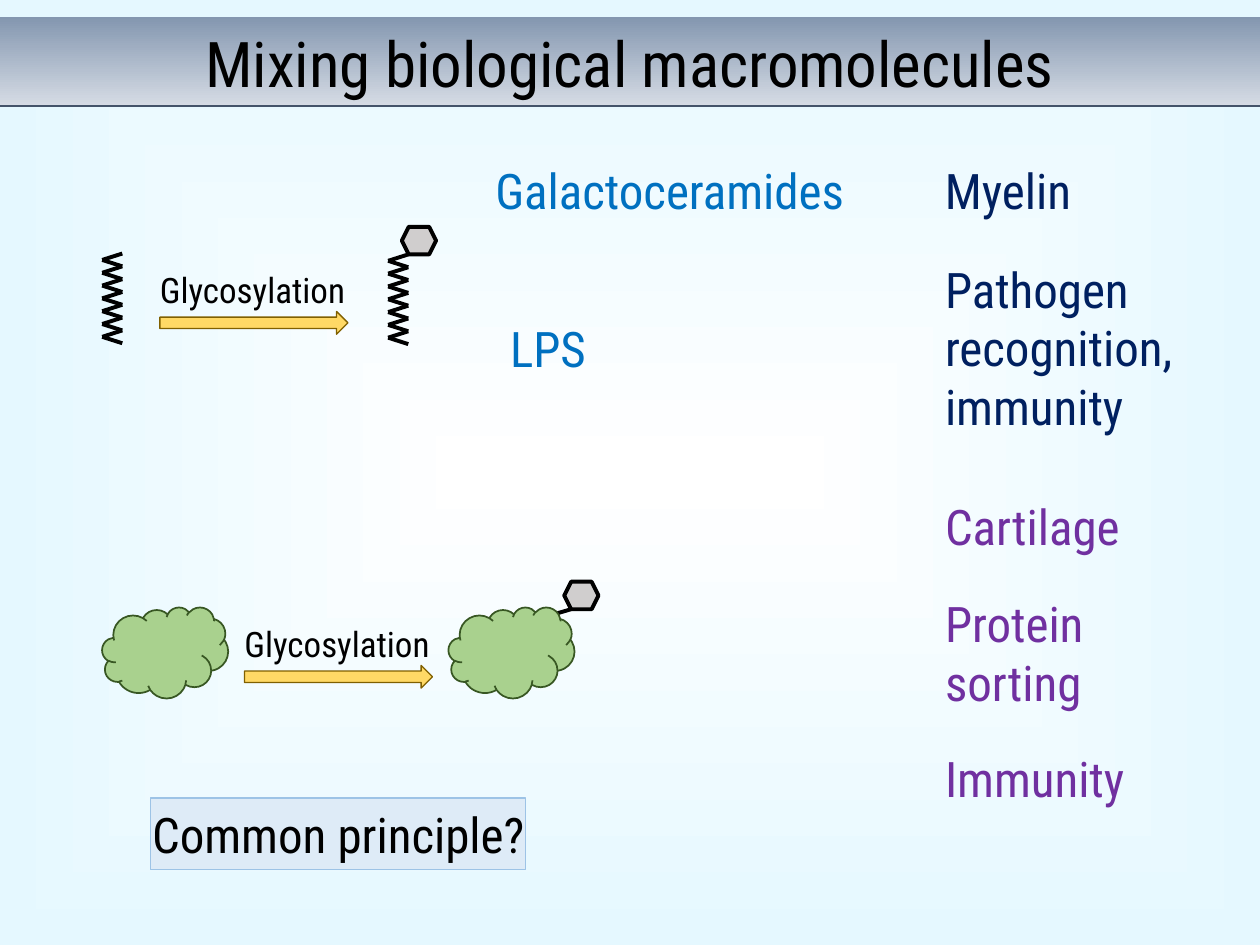
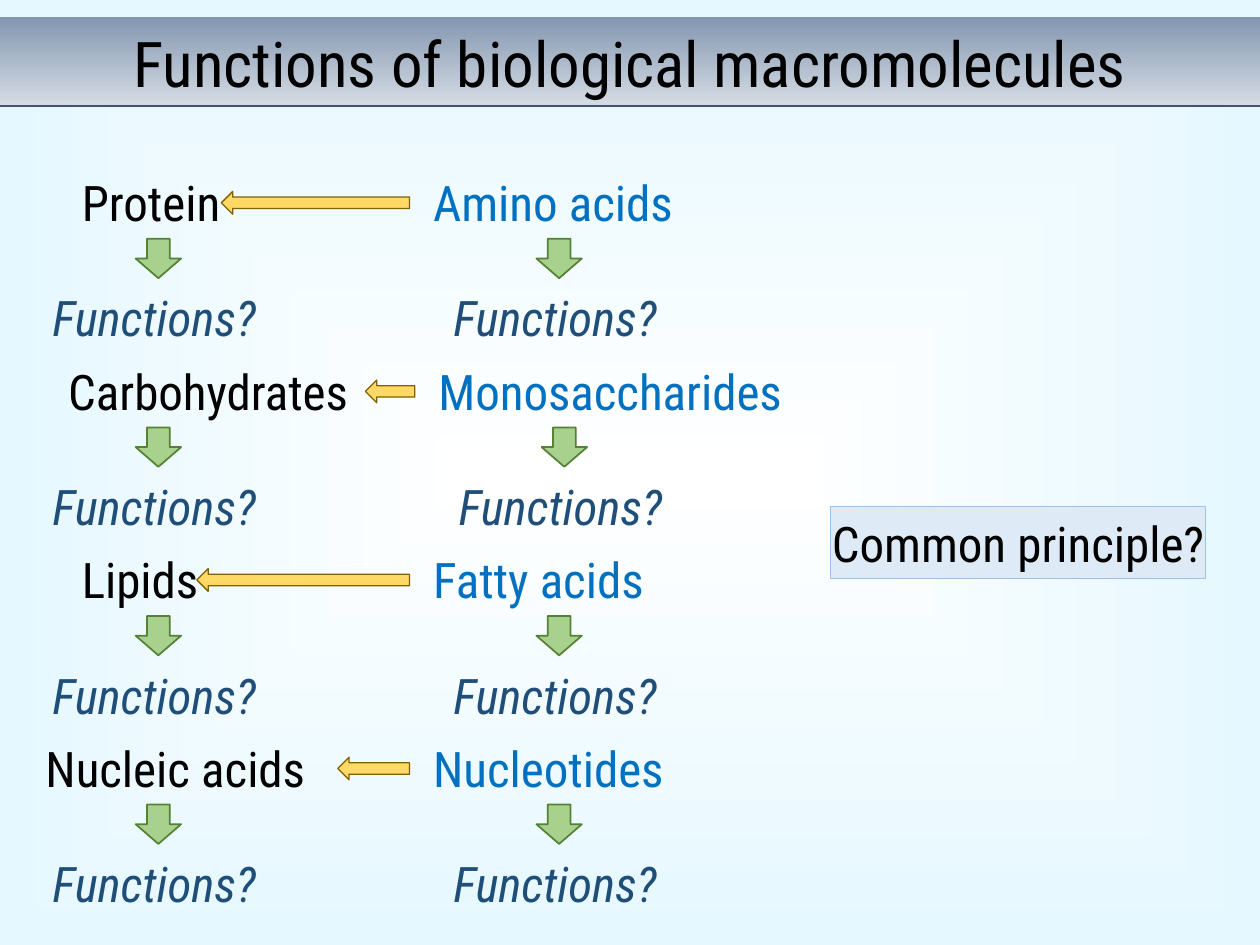
"""Build two slides on mixing and functions of biological macromolecules."""
from lxml import etree
from pptx import Presentation
from pptx.dml.color import RGBColor
from pptx.enum.shapes import MSO_CONNECTOR, MSO_SHAPE
from pptx.enum.text import MSO_ANCHOR, PP_ALIGN
from pptx.oxml.ns import qn
from pptx.util import Pt

RECTANGLE, CLOUD, HEXAGON = MSO_SHAPE.RECTANGLE, MSO_SHAPE.CLOUD, MSO_SHAPE.HEXAGON
LEFT_ARROW, RIGHT_ARROW, DOWN_ARROW = MSO_SHAPE.LEFT_ARROW, MSO_SHAPE.RIGHT_ARROW, MSO_SHAPE.DOWN_ARROW
STRAIGHT = MSO_CONNECTOR.STRAIGHT
LEFT, CENTER = PP_ALIGN.LEFT, PP_ALIGN.CENTER
TOP, MIDDLE = MSO_ANCHOR.TOP, MSO_ANCHOR.MIDDLE

FONT = "Roboto Condensed"
BLACK = RGBColor(0x00, 0x00, 0x00)
WHITE = RGBColor(0xFF, 0xFF, 0xFF)
PALE_BLUE = RGBColor(0xE5, 0xF8, 0xFF)
BAND_LIGHT = RGBColor(0xD6, 0xDC, 0xE5)
BAND_DARK = RGBColor(0x84, 0x97, 0xB0)
BAND_LINE = RGBColor(0x44, 0x54, 0x6A)
BLUE = RGBColor(0x00, 0x70, 0xC0)
NAVY = RGBColor(0x00, 0x20, 0x60)
PURPLE = RGBColor(0x70, 0x30, 0xA0)
FUNCTION_BLUE = RGBColor(0x1F, 0x4E, 0x79)
GREY = RGBColor(0xD0, 0xCE, 0xCE)
GOLD = RGBColor(0xFF, 0xD9, 0x66)
GOLD_LINE = RGBColor(0x80, 0x60, 0x00)
GREEN = RGBColor(0xA9, 0xD1, 0x8E)
CLOUD_LINE = RGBColor(0x38, 0x57, 0x23)
GREEN_LINE = RGBColor(0x54, 0x82, 0x35)
BOX_FILL = RGBColor(0xDE, 0xEB, 0xF7)
BOX_LINE = RGBColor(0x9D, 0xC3, 0xE6)

SLIDE_WIDTH, SLIDE_HEIGHT = 720, 540
LINE_HEIGHT = 41
MIXING_TITLE = "Mixing biological macromolecules"
FUNCTIONS_TITLE = "Functions of biological macromolecules"
PRINCIPLE = "Common principle?"
PROCESS = "Glycosylation"
FUNCTION = "Functions?"

# text, left, top, width, height, colour
MIXING_LABELS = [
    ("Galactoceramides", 283, 88, 204, LINE_HEIGHT, BLUE),
    ("LPS", 291.5, 178.5, 55, LINE_HEIGHT, BLUE),
    ("Myelin", 540, 88, 77, LINE_HEIGHT, NAVY),
    ("Pathogen recognition, immunity", 540, 144.5, 131, 109, NAVY),
    ("Cartilage", 540, 280, 121, LINE_HEIGHT, PURPLE),
    ("Protein sorting", 540, 335.5, 121, 75, PURPLE),
    ("Immunity", 540, 424, 121, LINE_HEIGHT, PURPLE),
]
# polymer, its left, arrow tip, monomer, its left, monomer width
BUILDING_BLOCKS = [
    ("Protein", 46.8, 126.5, "Amino acids", 247.5, 142),
    ("Carbohydrates", 39, 208.8, "Monosaccharides", 250.5, 207),
    ("Lipids", 46.8, 112.5, "Fatty acids", 247.5, 132),
    ("Nucleic acids", 26, 193, "Nucleotides", 247.5, 138),
]
FIRST_ROW, ROW_PITCH = 95.2, 107.75
SPRING_TURNS, SPRING_WIDTH, SPRING_STEP = 14, 11.5, 3.66


def fill_gradient(fill, start, end):
    fill.gradient()
    for stop, colour, position in zip(fill.gradient_stops, (start, end), (0, 1)):
        stop.color.rgb = colour
        stop.position = position


def write(shape, text, size=28, color=BLACK, italic=False, align=LEFT, anchor=TOP):
    frame = shape.text_frame
    frame.word_wrap = True
    frame.vertical_anchor = anchor
    frame.margin_left = frame.margin_right = 0
    frame.margin_top = frame.margin_bottom = Pt(3.6)
    paragraph = frame.paragraphs[0]
    paragraph.alignment = align
    run = paragraph.add_run()
    run.text = text
    font = run.font
    font.name, font.size, font.italic = FONT, Pt(size), italic
    font.color.rgb = color


def add_label(slide, text, left, top, width, height=LINE_HEIGHT, **style):
    write(slide.shapes.add_textbox(Pt(left), Pt(top), Pt(width), Pt(height)), text, **style)


def add_figure(slide, kind, left, top, width, height, fill, line, weight):
    shape = slide.shapes.add_shape(kind, Pt(left), Pt(top), Pt(width), Pt(height))
    shape.shadow.inherit = False
    shape.fill.solid()
    shape.fill.fore_color.rgb = fill
    shape.line.color.rgb = line
    shape.line.width = Pt(weight)
    return shape


def add_line(slide, start, end, color=BLACK, weight=2.25):
    connector = slide.shapes.add_connector(STRAIGHT, *map(Pt, (*start, *end)))
    connector.line.color.rgb = color
    connector.line.width = Pt(weight)
    etree.SubElement(connector.element.spPr, qn("a:effectLst"))


def add_titled_slide(presentation, title):
    slide = presentation.slides.add_slide(presentation.slide_layouts[6])
    fill_gradient(slide.background.fill, WHITE, PALE_BLUE)
    gradient = slide.element.find(".//" + qn("a:gradFill"))
    gradient.remove(gradient.find(qn("a:lin")))
    path = etree.SubElement(gradient, qn("a:path"), {"path": "shape"})
    etree.SubElement(path, qn("a:fillToRect"), dict.fromkeys("ltrb", "50000"))
    band = add_figure(slide, RECTANGLE, 0, 9.8, SLIDE_WIDTH, 51, BAND_LIGHT, BAND_LINE, 1)
    band.line.fill.background()
    fill_gradient(band.fill, BAND_LIGHT, BAND_DARK)
    band.fill.gradient_angle = 90
    write(band, title, size=36, align=CENTER, anchor=MIDDLE)
    add_line(slide, (0, 60.6), (SLIDE_WIDTH, 60.6), BAND_LINE, 1)
    return slide


def add_principle(slide, left, top):
    box = add_figure(slide, RECTANGLE, left, top, 214.5, LINE_HEIGHT, BOX_FILL, BOX_LINE, 0.75)
    write(box, PRINCIPLE, align=CENTER, anchor=MIDDLE)


def add_process(slide, left, top):
    add_figure(slide, RIGHT_ARROW, left, top + 28, 107.5, 13, GOLD, GOLD_LINE, 0.75)
    add_label(slide, PROCESS, left, top, 108.5, 31.5, size=20)


def add_sugar(slide, left, top):
    add_figure(slide, HEXAGON, left, top, 19.6, 15.8, GREY, BLACK, 2.25)


def add_spring(slide, left, top):
    for turn in range(SPRING_TURNS):
        upper = top + turn * SPRING_STEP
        ends = [(left, upper + SPRING_STEP), (left + SPRING_WIDTH, upper)]
        if turn % 2:
            ends = [(left + SPRING_WIDTH, upper + SPRING_STEP), (left, upper)]
        add_line(slide, *ends)


def add_protein(slide, left, top):
    add_figure(slide, CLOUD, left, top, 72, 52, GREEN, CLOUD_LINE, 1)


def add_function(slide, left, top):
    add_figure(slide, DOWN_ARROW, left + 47.5, top, 26, 22.5, GREEN, GREEN_LINE, 1)
    add_label(slide, FUNCTION, left, top + 24.5, 121, color=FUNCTION_BLUE, italic=True)


def build_mixing(presentation):
    slide = add_titled_slide(presentation, MIXING_TITLE)
    add_spring(slide, 58.4, 144.9)
    add_process(slide, 91.4, 150)
    add_sugar(slide, 229.6, 129.6)
    add_spring(slide, 221.8, 145.4)
    add_protein(slide, 58.4, 347)
    add_process(slide, 139.7, 352.2)
    add_sugar(slide, 322.4, 332.4)
    add_line(slide, (314.6, 351.6), (326.2, 348.2))
    add_protein(slide, 256.3, 347)
    for text, left, top, width, height, color in MIXING_LABELS:
        add_label(slide, text, left, top, width, height, color=color)
    add_principle(slide, 86, 456)


def build_functions(presentation):
    slide = add_titled_slide(presentation, FUNCTIONS_TITLE)
    for row, (polymer, left, tip, monomer, monomer_left, width) in enumerate(BUILDING_BLOCKS):
        top = FIRST_ROW + row * ROW_PITCH
        add_label(slide, polymer, left, top, 166)
        add_label(slide, monomer, monomer_left, top, width, color=BLUE)
        add_figure(slide, LEFT_ARROW, tip, top + 14.2, monomer_left - 13.5 - tip, 13,
                   GOLD, GOLD_LINE, 0.75)
        for function_left in (30, monomer_left + 11.5):
            add_function(slide, function_left, top + 41.3)
    add_principle(slide, 474.5, 289.5)


def main():
    presentation = Presentation()
    presentation.slide_width, presentation.slide_height = Pt(SLIDE_WIDTH), Pt(SLIDE_HEIGHT)
    build_mixing(presentation)
    build_functions(presentation)
    presentation.save("out.pptx")


if __name__ == "__main__":
    main()
